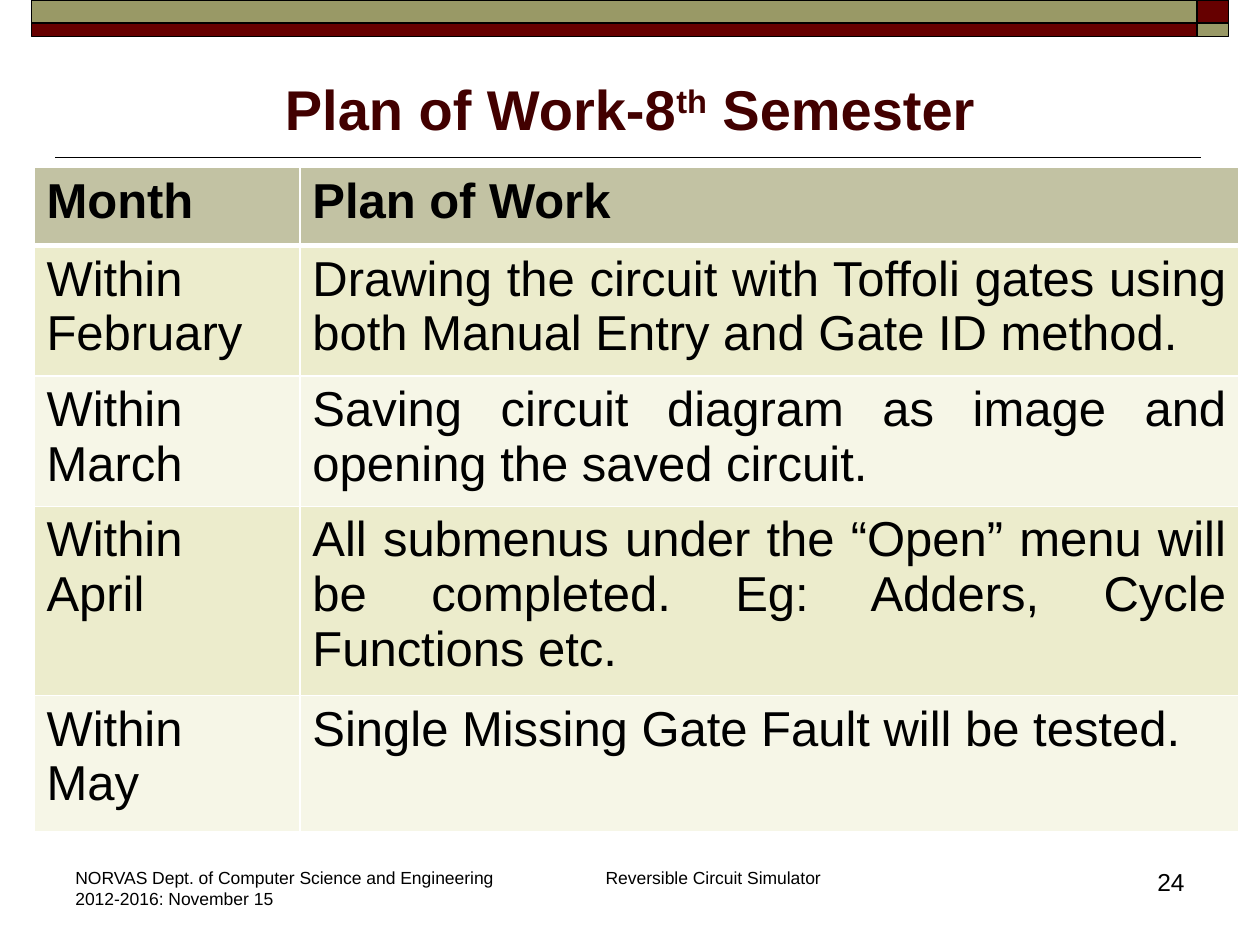
from dataclasses import dataclass
from typing import Any

from lxml import etree
from pptx import Presentation
from pptx import util as u
from pptx.dml.color import RGBColor
from pptx.enum import shapes, text
from pptx.oxml import ns

BLACK = RGBColor(0x00, 0x00, 0x00)
WHITE = RGBColor(0xFF, 0xFF, 0xFF)
MAROON = RGBColor(0x66, 0x00, 0x00)
OLIVE = RGBColor(0x99, 0x99, 0x66)
TITLE_RED = RGBColor(0x42, 0x00, 0x00)
HEADER_FILL = RGBColor(0xC2, 0xC2, 0xA3)
BAND_FILLS = (RGBColor(0xF6, 0xF6, 0xE7), RGBColor(0xEC, 0xEC, 0xCC))

# The slide is a grid of 40 columns by 30 rows
COLUMNS, ROWS = 40, 30
WIDTH, HEIGHT = u.Inches(10), u.Inches(7.5)


def across(columns: float) -> int:
    return round(WIDTH * columns / COLUMNS)


def down(rows: float) -> int:
    return round(HEIGHT * rows / ROWS)


@dataclass
class Area:
    left: float
    top: float
    width: float
    height: float

    def lengths(self) -> tuple[int, int, int, int]:
        return across(self.left), down(self.top), across(self.width), down(self.height)


@dataclass
class Bar:
    area: Area
    color: RGBColor


@dataclass
class Label:
    area: Area
    spans: tuple[str, ...]
    size: float
    align: Any = text.PP_ALIGN.LEFT
    anchor: Any = text.MSO_ANCHOR.TOP
    color: RGBColor = BLACK
    bold: bool = False


@dataclass
class Task:
    month: str
    plan: str
    height: float


def add_span(para: Any, words: str, size: float, color: RGBColor, bold: bool) -> Any:
    span = para.add_run()
    span.text = words
    for name, value in {"name": "Arial", "size": u.Pt(size), "bold": bold}.items():
        setattr(span.font, name, value)
    span.font.color.rgb = color
    return span


def add_bar(page: Any, bar: Bar) -> None:
    box = page.shapes.add_shape(shapes.MSO_SHAPE.RECTANGLE, *bar.area.lengths())
    box.shadow.inherit = False
    box.fill.solid()
    box.fill.fore_color.rgb = bar.color
    box.line.color.rgb = BLACK
    box.line.width = u.Pt(1)


def add_label(page: Any, label: Label) -> None:
    frame = page.shapes.add_textbox(*label.area.lengths()).text_frame
    for name, value in {"word_wrap": True, "vertical_anchor": label.anchor}.items():
        setattr(frame, name, value)
    para = frame.paragraphs[0]
    para.alignment = label.align
    for index, words in enumerate(label.spans):
        span = add_span(para, words, label.size, label.color, label.bold)
        if index == 1:  # the second span is the ordinal ending
            span.font._element.set("baseline", "30000")


def add_borders(cell: Any, bottom: float) -> None:
    properties = cell._tc.get_or_add_tcPr()
    widths = {"a:lnL": 1, "a:lnR": 1, "a:lnT": 1, "a:lnB": bottom}
    for index, (tag, points) in enumerate(widths.items()):
        line = etree.Element(ns.qn(tag), w=str(u.Pt(points)))
        fill = etree.SubElement(line, ns.qn("a:solidFill"))
        etree.SubElement(fill, ns.qn("a:srgbClr"), val=str(WHITE))
        properties.insert(index, line)


def add_schedule(page: Any, area: Area, widths: tuple[float, ...], tasks: list[Task]) -> None:
    table = page.shapes.add_table(len(tasks), len(widths), *area.lengths()).table
    for column, width in zip(table.columns, widths):
        column.width = across(width)
    for index, task in enumerate(tasks):
        table.rows[index].height = down(task.height)
        header = index == 0
        for position, words in enumerate((task.month, task.plan)):
            cell = table.cell(index, position)
            cell.fill.solid()
            cell.fill.fore_color.rgb = HEADER_FILL if header else BAND_FILLS[index % 2]
            add_borders(cell, 3 if header else 1)
            para = cell.text_frame.paragraphs[0]
            para.alignment = text.PP_ALIGN.JUSTIFY
            add_span(para, words, 28, BLACK, header)


deck = Presentation()
deck.slide_width, deck.slide_height = WIDTH, HEIGHT
page = deck.slides.add_slide(deck.slide_layouts[6])

# Rule under the title
rule = page.shapes.add_connector(
    shapes.MSO_CONNECTOR.STRAIGHT, across(1.76), down(5), across(38.12), down(5))
rule.line.color.rgb = BLACK
rule.line.width = u.Pt(1)
etree.SubElement(rule._element.spPr, ns.qn("a:effectLst"))

# Checked band along the top edge
for row, (top, height) in enumerate(((0, 0.72), (0.72, 0.44))):
    for column, (left, width) in enumerate(((1, 37), (38, 1))):
        color = (OLIVE, MAROON)[(row + column) % 2]
        add_bar(page, Bar(Area(left, top, width, height), color))

# Title
add_label(page, Label(
    Area(2, 1.8, 36, 2.88), ("Plan of Work-8", "th", " Semester"), 32,
    text.PP_ALIGN.CENTER, text.MSO_ANCHOR.BOTTOM, TITLE_RED, True))

# Work schedule
add_schedule(page, Area(1.08, 5.32, 38.24, 19.64), (8.44, 29.8), [
    Task("Month", "Plan of Work", 2.48),
    Task("Within February", "Drawing the circuit with Toffoli gates using both "
         "Manual Entry and Gate ID method.", 3.6),
    Task("Within March", "Saving circuit diagram as image and opening the saved circuit.", 4),
    Task("Within April", "All submenus under the “Open” menu will be completed. "
         "Eg: Adders, Cycle Functions etc.", 5.24),
    Task("Within May", "Single Missing Gate Fault will be tested.", 4.32),
])

# Footer
for label in (
    Label(Area(2, 27.32, 14.8, 2),
          ("NORVAS Dept. of Computer Science and Engineering 2012-2016: November 15",), 10),
    Label(Area(17.28, 27.32, 10.72, 2), ("Reversible Circuit Simulator",), 10,
          text.PP_ALIGN.CENTER),
    Label(Area(29.68, 27.32, 8.32, 2), ("24",), 14, text.PP_ALIGN.RIGHT),
):
    add_label(page, label)

deck.save("out.pptx")
